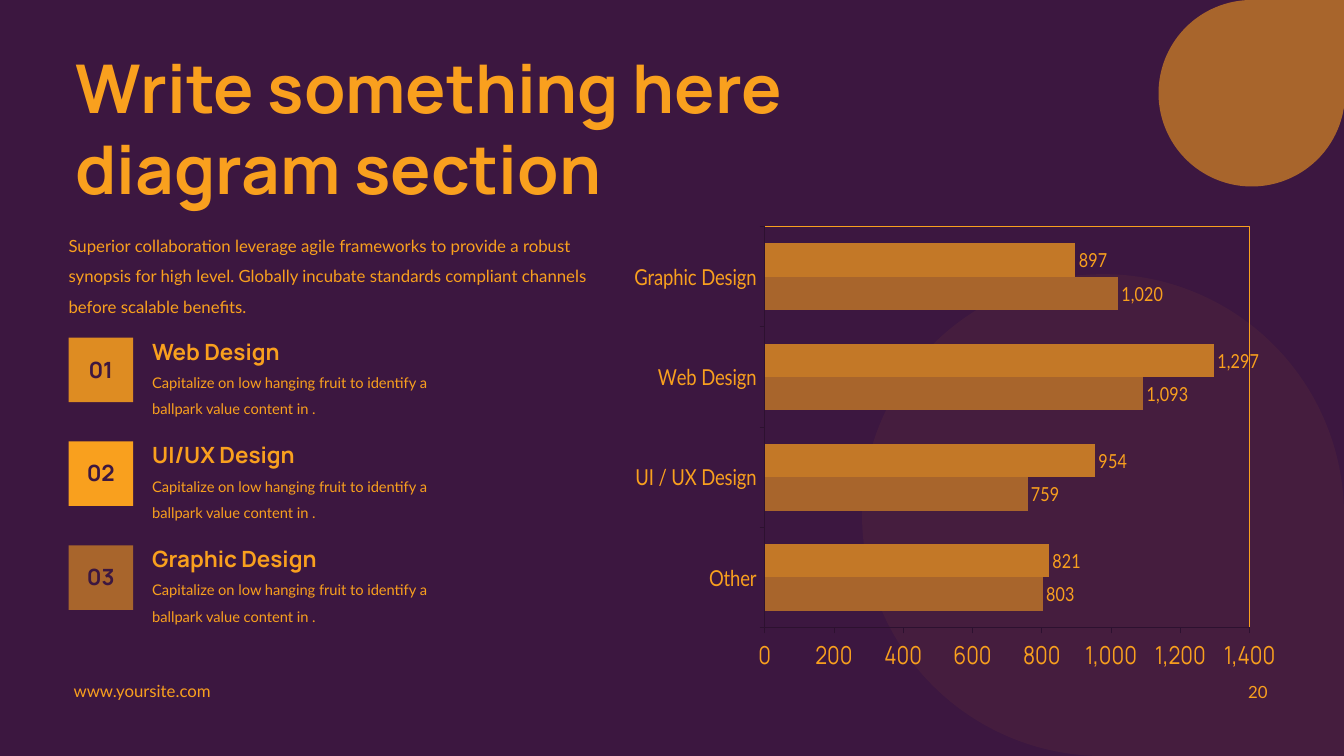
from lxml import etree
from pptx import Presentation
from pptx.chart.data import CategoryChartData
from pptx.dml.color import RGBColor
from pptx.enum.chart import XL_CHART_TYPE as ChartType
from pptx.enum.chart import XL_LABEL_POSITION as LabelPosition
from pptx.enum.chart import XL_TICK_MARK as TickMark
from pptx.enum.shapes import MSO_SHAPE as ShapeType
from pptx.enum.text import MSO_ANCHOR as Anchor
from pptx.enum.text import PP_ALIGN as Align
from pptx.oxml import parse_xml
from pptx.oxml.ns import nsdecls, qn
from pptx.util import Emu, Pt

EMU_PER_PX = 9144
PURPLE = RGBColor(0x3C, 0x17, 0x40)
DARK_PURPLE = RGBColor(0x2D, 0x11, 0x30)
ORANGE = RGBColor(0xF9, 0xA0, 0x1E)
AMBER = RGBColor(0xDE, 0x8C, 0x22)
COPPER = RGBColor(0xC3, 0x78, 0x27)
BROWN = RGBColor(0xA8, 0x65, 0x2C)
BODY_FONT = "Lato"
HEADING_FONT = "Manrope"

INTRO = ("Superior collaboration leverage agile frameworks to provide a robust synopsis "
         "for high level. Globally incubate standards compliant channels before scalable benefits.")
SERVICE_TEXT = "Capitalize on low hanging fruit to identify a ballpark value content in ."
SERVICES = [("01", "Web Design", AMBER), ("02", "UI/UX Design", ORANGE), ("03", "Graphic Design", BROWN)]
SERVICE_TOP = 335
SERVICE_PITCH = 103

CATEGORIES = ["Other", "UI / UX Design", "Web Design", "Graphic Design"]
SERIES = [("Series 1", [803, 759, 1093, 1020], BROWN), ("Series 2", [821, 954, 1297, 897], COPPER)]
PLOT_LAYOUT = {"x": 0.211, "y": 0.002, "w": 0.917, "h": 0.915}


def px(*lengths):
    return [Emu(length * EMU_PER_PX) for length in lengths]


def style_font(font, size, name=BODY_FONT, color=ORANGE, bold=False):
    font.size = Pt(size)
    font.name = name
    font.bold = bold
    font.color.rgb = color


def add_text(slide, box, text, size, name=BODY_FONT, color=ORANGE, bold=False,
             align=Align.LEFT, spacing=None, anchor=Anchor.TOP, inset=False):
    text_frame = slide.shapes.add_textbox(*px(*box)).text_frame
    text_frame.word_wrap = True
    text_frame.vertical_anchor = anchor
    if not inset:
        text_frame.margin_left = text_frame.margin_right = 0
        text_frame.margin_top = text_frame.margin_bottom = 0
    text_frame.text = text
    paragraph = text_frame.paragraphs[0]
    paragraph.alignment = align
    if spacing:
        paragraph.line_spacing = spacing
    style_font(paragraph.runs[0].font, size, name, color, bold)


def add_block(slide, kind, box, color, opacity=None, flip=False):
    shape = slide.shapes.add_shape(kind, *px(*box))
    shape.shadow.inherit = False
    shape.fill.solid()
    shape.fill.fore_color.rgb = color
    shape.line.fill.background()
    properties = shape.element.spPr
    if opacity is not None:
        tint = properties.find(qn("a:solidFill")).find(qn("a:srgbClr"))
        etree.SubElement(tint, qn("a:alpha"), val=str(opacity * 1000))
    if flip:
        properties.find(qn("a:xfrm")).set("flipV", "1")


def add_service(slide, index, number, title, color):
    top = SERVICE_TOP + index * SERVICE_PITCH
    add_text(slide, (151, top, 258, 27), title, 16, HEADING_FONT, bold=True)
    add_text(slide, (151, top + 27, 303, 50), SERVICE_TEXT, 10.5, spacing=1.5)
    add_block(slide, ShapeType.RECTANGLE, (68, top, 64, 64), color)
    add_text(slide, (80, top + 18, 40, 27), number, 16, HEADING_FONT, PURPLE, True, Align.CENTER)


def style_axis(axis, size, name):
    axis.has_major_gridlines = False
    axis.major_tick_mark = TickMark.OUTSIDE
    axis.minor_tick_mark = TickMark.NONE
    axis.format.line.color.rgb = DARK_PURPLE
    axis.format.line.width = Pt(0.75)
    style_font(axis.tick_labels.font, size, name)


def style_plot_area(chart):
    plot_area = chart.element.chart.plotArea
    for layout in plot_area.findall(qn("c:layout")):
        plot_area.remove(layout)
    modes = '<c:layoutTarget val="inner"/><c:xMode val="edge"/><c:yMode val="edge"/>'
    sizes = "".join(f'<c:{key} val="{value}"/>' for key, value in PLOT_LAYOUT.items())
    plot_area.insert(0, parse_xml(
        f'<c:layout {nsdecls("c")}><c:manualLayout>{modes}{sizes}</c:manualLayout></c:layout>'))
    plot_area.append(parse_xml(
        f'<c:spPr {nsdecls("c", "a")}><a:noFill/><a:ln w="9525"><a:solidFill>'
        f'<a:srgbClr val="{ORANGE}"/></a:solidFill></a:ln></c:spPr>'))


def add_bar_chart(slide, box):
    data = CategoryChartData(number_format="#,##0")
    data.categories = CATEGORIES
    for name, values, _ in SERIES:
        data.add_series(name, values)
    chart = slide.shapes.add_chart(ChartType.BAR_CLUSTERED, *px(*box), data).chart
    chart.has_legend = False
    chart.has_title = False
    style_font(chart.font, 18)
    style_axis(chart.category_axis, 16, BODY_FONT)
    value_axis = chart.value_axis
    style_axis(value_axis, 18, HEADING_FONT)
    value_axis.minimum_scale = 0
    value_axis.maximum_scale = 1400
    value_axis.major_unit = 200
    value_axis.tick_labels.number_format = "#,##0"
    value_axis.tick_labels.number_format_is_linked = False

    plot = chart.plots[0]
    plot.gap_width = 100
    plot.vary_by_categories = False
    for series, (_, _, color) in zip(plot.series, SERIES):
        series.format.fill.solid()
        series.format.fill.fore_color.rgb = color
        labels = series.data_labels
        labels.show_value = True
        labels.position = LabelPosition.OUTSIDE_END
        labels.number_format = "#,##0"
        labels.number_format_is_linked = False
        style_font(labels.font, 14)
    style_plot_area(chart)


def main():
    presentation = Presentation()
    presentation.slide_width, presentation.slide_height = px(1333, 750)
    slide = presentation.slides.add_slide(presentation.slide_layouts[6])
    slide.background.fill.solid()
    slide.background.fill.fore_color.rgb = PURPLE

    add_text(slide, (73, 675, 271, 20), "www.yoursite.com", 12)
    add_block(slide, ShapeType.TEAR, (1149, 0, 185, 185), BROWN)
    add_block(slide, ShapeType.TEAR, (855, 272, 478, 478), ORANGE, opacity=5, flip=True)
    add_text(slide, (967, 666, 300, 40), "20", 12, align=Align.RIGHT, anchor=Anchor.MIDDLE, inset=True)
    add_bar_chart(slide, (629, 224, 636, 442))
    for index, service in enumerate(SERVICES):
        add_service(slide, index, *service)
    add_text(slide, (68, 224, 521, 87), INTRO, 12, spacing=1.5)
    add_text(slide, (65, 41, 948, 172), "Write something here diagram section", 48,
             HEADING_FONT, bold=True, inset=True)
    presentation.save("out.pptx")


if __name__ == "__main__":
    main()
